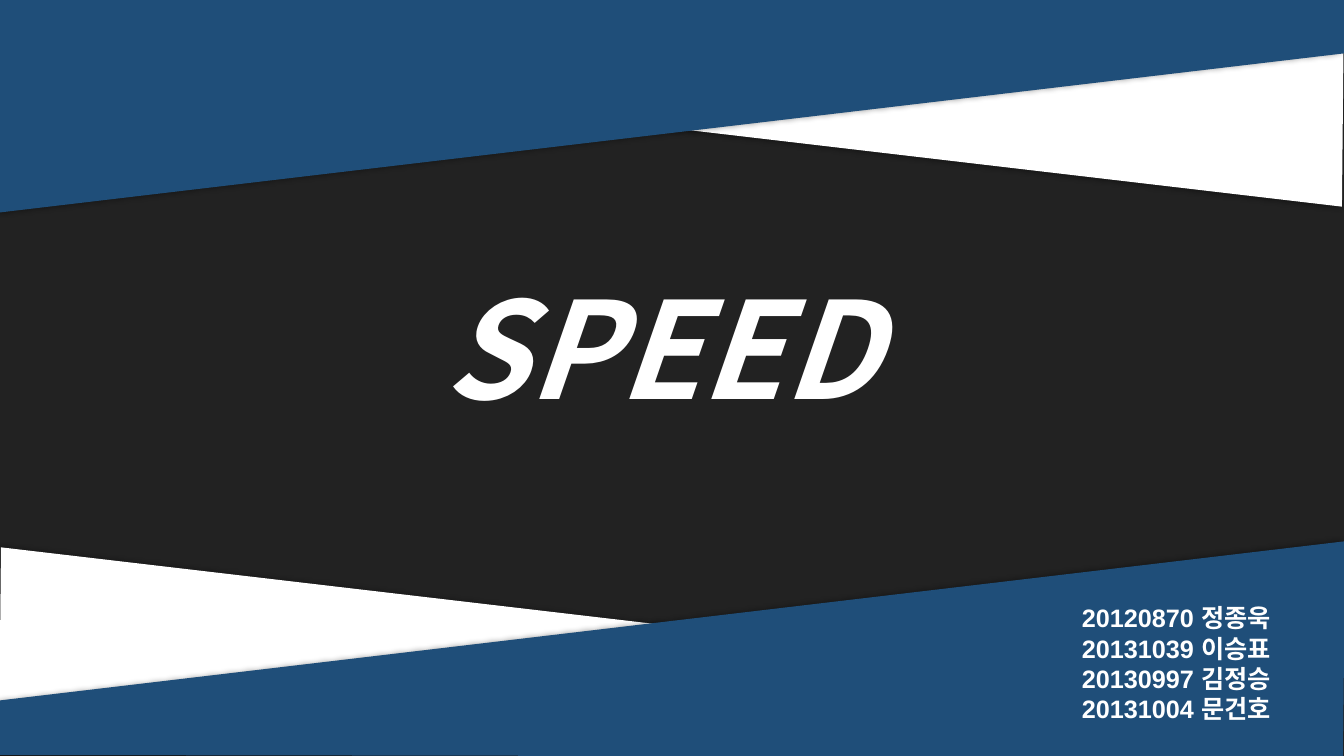
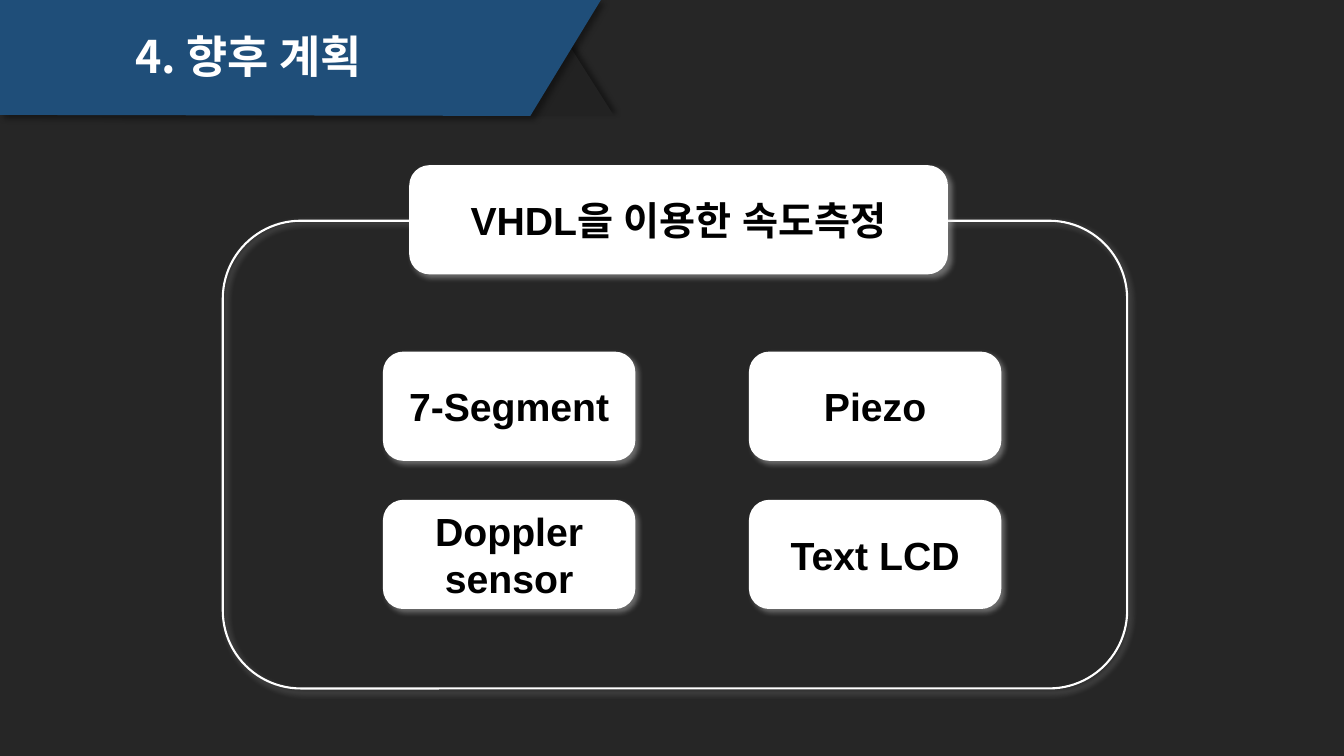
from pptx import Presentation
from pptx.dml.color import RGBColor
from pptx.enum.shapes import MSO_SHAPE as Shape
from pptx.enum.text import MSO_ANCHOR as Anchor, MSO_AUTO_SIZE as Fit, PP_ALIGN as Align
from pptx.oxml.ns import qn
from pptx.util import Inches, Pt
from lxml.etree import SubElement as Sub

COLORS = {
    "cover": "222222",
    "page": "262626",
    "blue": "1F4E79",
    "white": "FFFFFF",
    "black": "000000",
    "glow": "D9D9D9",
}
HEAD = "Noto Sans CJK KR"
BODY = "Arial"
WIDE, HIGH = 13.33, 7.5

NAMES = ["20120870 정종욱", "20131039 이승표", "20130997 김정승", "20131004 문건호"]
PARTS = [["7-Segment", "Piezo"], ["Doppler sensor", "Text LCD"]]

# Cover bands along the top edge; the bottom pair is the same turned half round
BANDS = [
    ("white", [(13.31, 2.05), (0, 0.49), (0, -0.03), (13.33, 0.01)]),
    ("blue", [(13.33, 0.53), (-0.02, 2.11), (0, -0.03), (13.33, -0.01)]),
]
TURN = (13.32, 7.48)


def rgb(name):
    return RGBColor.from_string(COLORS[name])


def shade(shape, color, angle):
    """Give the shape a soft outer shadow."""
    shape.shadow.inherit = False
    effects = shape._element.spPr.find(qn("a:effectLst"))
    outer = Sub(effects, qn("a:outerShdw"), blurRad=str(Pt(4)), dist=str(Pt(3)),
                dir=str(angle * 60000), rotWithShape="0")
    tint = Sub(outer, qn("a:srgbClr"), val=COLORS[color])
    Sub(tint, qn("a:alpha"), val="40000")


def paint(shape, fill=None, line=None, width=0):
    if fill:
        shape.fill.solid()
        shape.fill.fore_color.rgb = rgb(fill)
    else:
        shape.fill.background()
    if line:
        shape.line.color.rgb = rgb(line)
        shape.line.width = Pt(width)
    else:
        shape.line.fill.background()


def style(frame, font, size, color, align=Align.LEFT, italic=False):
    """Format every run, for Latin and Korean letters alike."""
    for para in frame.paragraphs:
        para.alignment = align
        para.space_before = Pt(0)
        for run in para.runs:
            face = run.font
            face.name, face.size = font, Pt(size)
            face.bold, face.italic = True, italic
            face.color.rgb = rgb(color)
            Sub(face._element, qn("a:ea"), typeface=font)


def start(deck, layout, back):
    slide = deck.slides.add_slide(deck.slide_layouts[layout])
    slide.background.fill.solid()
    slide.background.fill.fore_color.rgb = rgb(back)
    return slide


def place(holder, box, text, font, size, italic=False):
    """Move a placeholder, bring it to the front and fill it."""
    holder.left, holder.top, holder.width, holder.height = map(Inches, box)
    holder._element.getparent().append(holder._element)
    frame = holder.text_frame
    frame.text = text
    frame.word_wrap = True
    frame.auto_size = Fit.SHAPE_TO_FIT_TEXT
    frame.vertical_anchor = Anchor.TOP
    style(frame, font, size, "white", italic=italic)


def outline(slide, points, color, angle):
    """Draw a closed polygon through points given in inches."""
    spots = [(Inches(x), Inches(y)) for x, y in points]
    pen = slide.shapes.build_freeform(*spots[0])
    pen.add_line_segments(spots[1:], close=True)
    shape = pen.convert_to_shape()
    paint(shape, color)
    shade(shape, "black", angle)


def card(slide, box, text):
    """Draw a white rounded box with a centred label."""
    shape = slide.shapes.add_shape(Shape.ROUNDED_RECTANGLE, *map(Inches, box))
    paint(shape, "white", "white", 4.5)
    shade(shape, "glow", 45)
    frame = shape.text_frame
    frame.text = text
    frame.word_wrap = True
    frame.vertical_anchor = Anchor.MIDDLE
    style(frame, BODY, 28, "black", Align.CENTER)


def cover(deck):
    slide = start(deck, 0, "cover")
    for color, points in BANDS:
        outline(slide, points, color, 180)
    for color, points in BANDS:
        turned = [(TURN[0] - x, TURN[1] - y) for x, y in points]
        outline(slide, turned, color, 180)
    place(slide.shapes.title, (4.3, 2.58, 4.73, 1.72), "SPEED", HEAD, 96, True)
    place(slide.placeholders[1], (10.63, 5.93, 2.72, 1.62), "\n".join(NAMES), BODY, 18)


def plan(deck):
    slide = start(deck, 5, "page")

    # Title banner with its folded corner
    fold = slide.shapes.add_shape(Shape.ISOSCELES_TRIANGLE,
                                  *map(Inches, (4.77, 0.11, 1.32, 1.04)))
    paint(fold, "cover")
    shade(fold, "black", 315)
    outline(slide, [(0, 0), (5.96, 0), (5.26, 1.15), (0, 1.14)], "blue", 45)
    place(slide.shapes.title, (1.24, 0.23, 4.58, 0.64), "4. 향후 계획", HEAD, 32)

    # Grid of parts
    for row, labels in enumerate(PARTS):
        for col, label in enumerate(labels):
            card(slide, (3.83 + col * 3.63, 3.52 + row * 1.47, 2.44, 1.02), label)

    # Frame and its heading
    frame = slide.shapes.add_shape(Shape.ROUNDED_RECTANGLE,
                                   *map(Inches, (2.21, 2.19, 8.97, 4.64)))
    paint(frame, line="white", width=1.5)
    shade(frame, "glow", 45)
    card(slide, (4.09, 1.67, 5.28, 1.02), "VHDL을 이용한 속도측정")


def main():
    deck = Presentation()
    deck.slide_width, deck.slide_height = Inches(WIDE), Inches(HIGH)
    cover(deck)
    plan(deck)
    deck.save("out.pptx")


if __name__ == "__main__":
    main()
